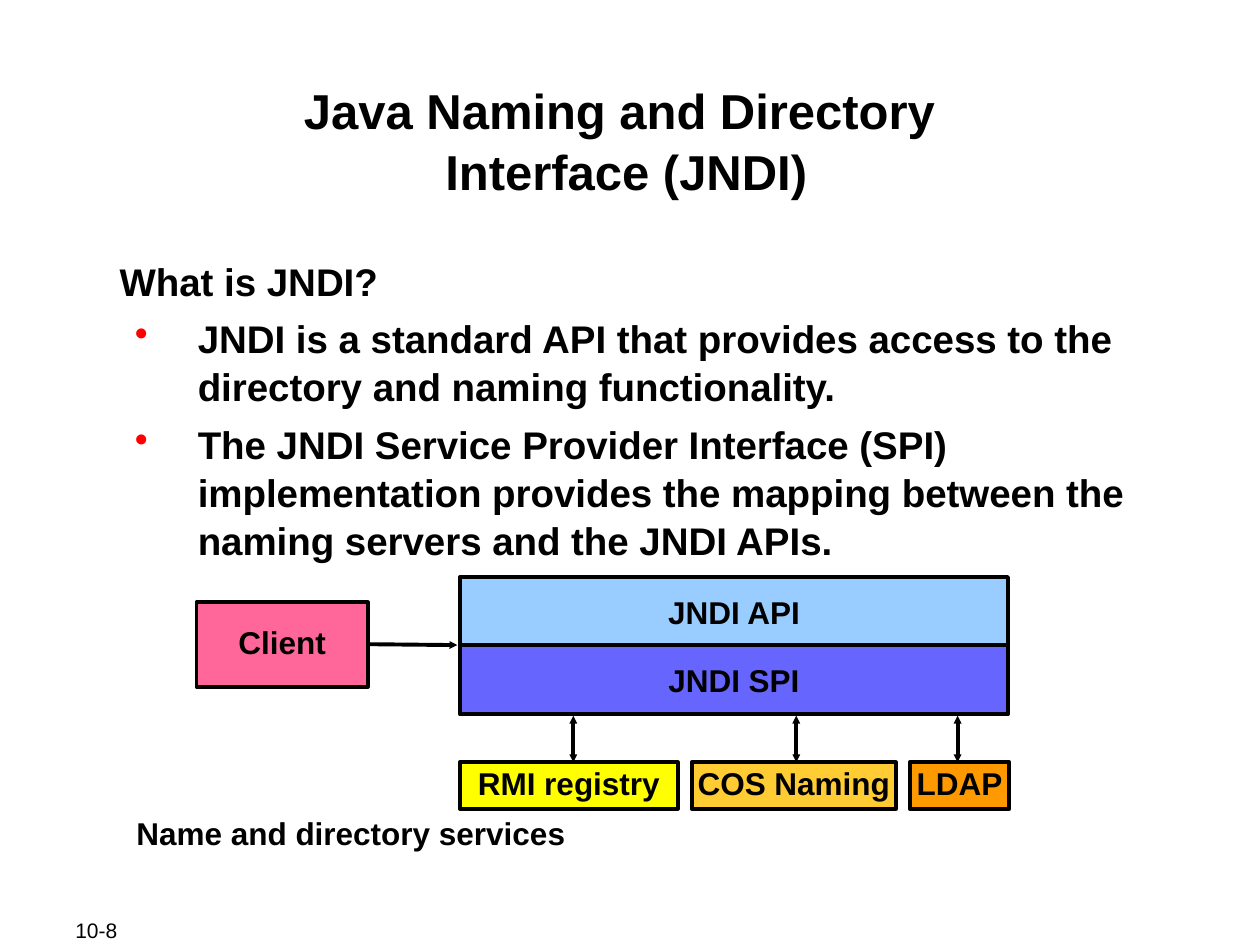
from dataclasses import dataclass

from lxml import etree
from pptx import Presentation
from pptx.dml.color import RGBColor
from pptx.enum.shapes import MSO_CONNECTOR, MSO_SHAPE
from pptx.enum.text import MSO_ANCHOR, PP_ALIGN
from pptx.oxml.ns import qn
from pptx.util import Inches, Pt

RECTANGLE = MSO_SHAPE.RECTANGLE
STRAIGHT = MSO_CONNECTOR.STRAIGHT
TOP, MIDDLE = MSO_ANCHOR.TOP, MSO_ANCHOR.MIDDLE
LEFT, CENTER = PP_ALIGN.LEFT, PP_ALIGN.CENTER


@dataclass(frozen=True)
class Theme:
    font: str = "Arial"
    text: RGBColor = RGBColor(0x00, 0x00, 0x00)
    bullet: str = "FF0000"
    client: RGBColor = RGBColor(0xFF, 0x66, 0x99)
    api: RGBColor = RGBColor(0x99, 0xCC, 0xFF)
    spi: RGBColor = RGBColor(0x66, 0x66, 0xFF)
    rmi: RGBColor = RGBColor(0xFF, 0xFF, 0x00)
    cos: RGBColor = RGBColor(0xFF, 0xCC, 0x33)
    ldap: RGBColor = RGBColor(0xFF, 0x99, 0x00)
    title_size: Pt = Pt(28)
    body_size: Pt = Pt(22)
    label_size: Pt = Pt(18)
    number_size: Pt = Pt(12)
    line_width: Pt = Pt(2.25)


theme = Theme()


def set_frame(frame, anchor, wrap, side=0.01, top=0.01):
    frame.vertical_anchor = anchor
    frame.word_wrap = wrap
    frame.margin_left = frame.margin_right = Inches(side)
    frame.margin_top = Inches(top)
    frame.margin_bottom = Inches(0.01)


def add_text(paragraph, text, size, align, bold=True):
    paragraph.alignment = align
    run = paragraph.add_run()
    run.text = text
    run.font.name = theme.font
    run.font.size = size
    run.font.bold = bold
    run.font.color.rgb = theme.text


presentation = Presentation()
presentation.slide_width = Inches(10)
presentation.slide_height = Inches(7.5)
slide = presentation.slides.add_slide(presentation.slide_layouts[5])
shapes = slide.shapes

# Title
title = shapes.title
title.left, title.top = Inches(0.97), Inches(0.58)
title.width, title.height = Inches(8), Inches(0.96)
set_frame(title.text_frame, TOP, True, top=0.04)
paragraph = title.text_frame.paragraphs[0]
paragraph.line_spacing = 1.04
add_text(paragraph, "Java Naming and Directory ", theme.title_size, CENTER)
paragraph.add_line_break()
add_text(paragraph, "Interface (JNDI)", theme.title_size, CENTER)

# Question and bulleted answers
body = shapes.add_textbox(Inches(0.94), Inches(1.99), Inches(8.06), Inches(2.38))
set_frame(body.text_frame, TOP, True, top=0.04)
paragraph = body.text_frame.paragraphs[0]
paragraph.line_spacing = 1.04
add_text(paragraph, "What is JNDI?", theme.body_size, LEFT)
for answer in (
    "JNDI is a standard API that provides access to the directory and naming functionality.",
    "The JNDI Service Provider Interface (SPI) implementation provides the mapping "
    "between the naming servers and the JNDI APIs.",
):
    paragraph = body.text_frame.add_paragraph()
    paragraph.level = 1
    paragraph.space_before = Pt(5.5)
    paragraph.line_spacing = 1.04
    add_text(paragraph, answer, theme.body_size, LEFT)
    properties = paragraph._p.get_or_add_pPr()
    properties.set("marL", str(Inches(0.62)))
    properties.set("indent", str(Inches(-0.5)))
    bullet_color = etree.SubElement(properties, qn("a:buClr"))
    etree.SubElement(bullet_color, qn("a:srgbClr"), val=theme.bullet)
    etree.SubElement(properties, qn("a:buChar"), char="•")

# Arrows: from, to, whether both ends have heads
arrows = [((2.65, 5.11), (3.63, 5.12), False)]
arrows += [((x, 6.05), (x, 5.68), True) for x in (4.55, 6.32, 7.6)]
for start, end, two_way in arrows:
    arrow = shapes.add_connector(STRAIGHT, *map(Inches, start + end))
    arrow.line.color.rgb = theme.text
    arrow.line.width = theme.line_width
    line = arrow.line._get_or_add_ln()
    for tag in ("a:headEnd", "a:tailEnd") if two_way else ("a:tailEnd",):
        etree.SubElement(line, qn(tag), type="triangle", w="sm", len="sm")
    etree.SubElement(arrow._element.spPr, qn("a:effectLst"))

# Boxes: label, left, top, width, height, fill, line spacing
for label, left, top, width, height, fill, spacing in (
    ("Client", 1.56, 4.78, 1.36, 0.67, theme.client, 0.9),
    ("JNDI API", 3.65, 4.58, 4.35, 0.55, theme.api, 1),
    ("JNDI SPI", 3.65, 5.12, 4.35, 0.55, theme.spi, 1),
    ("RMI registry", 3.65, 6.05, 1.73, 0.37, theme.rmi, 0.9),
    ("COS Naming", 5.49, 6.05, 1.62, 0.37, theme.cos, 0.9),
    ("LDAP", 7.22, 6.05, 0.79, 0.37, theme.ldap, 0.9),
):
    box = shapes.add_shape(RECTANGLE, *map(Inches, (left, top, width, height)))
    box.shadow.inherit = False
    box.fill.solid()
    box.fill.fore_color.rgb = fill
    box.line.color.rgb = theme.text
    box.line.width = theme.line_width
    set_frame(box.text_frame, MIDDLE, False)
    paragraph = box.text_frame.paragraphs[0]
    paragraph.line_spacing = spacing
    add_text(paragraph, label, theme.label_size, CENTER)

# Caption under the services
caption = shapes.add_textbox(Inches(1.07), Inches(6.45), Inches(3.43), Inches(0.33))
set_frame(caption.text_frame, TOP, False)
add_text(caption.text_frame.paragraphs[0], "Name and directory services", theme.label_size, CENTER)

# Page number
number = shapes.add_textbox(Inches(0.5), Inches(7.28), Inches(1.06), Inches(0.2))
set_frame(number.text_frame, MIDDLE, True, side=0.1)
add_text(number.text_frame.paragraphs[0], "10-8", theme.number_size, LEFT, bold=False)

presentation.save("out.pptx")
